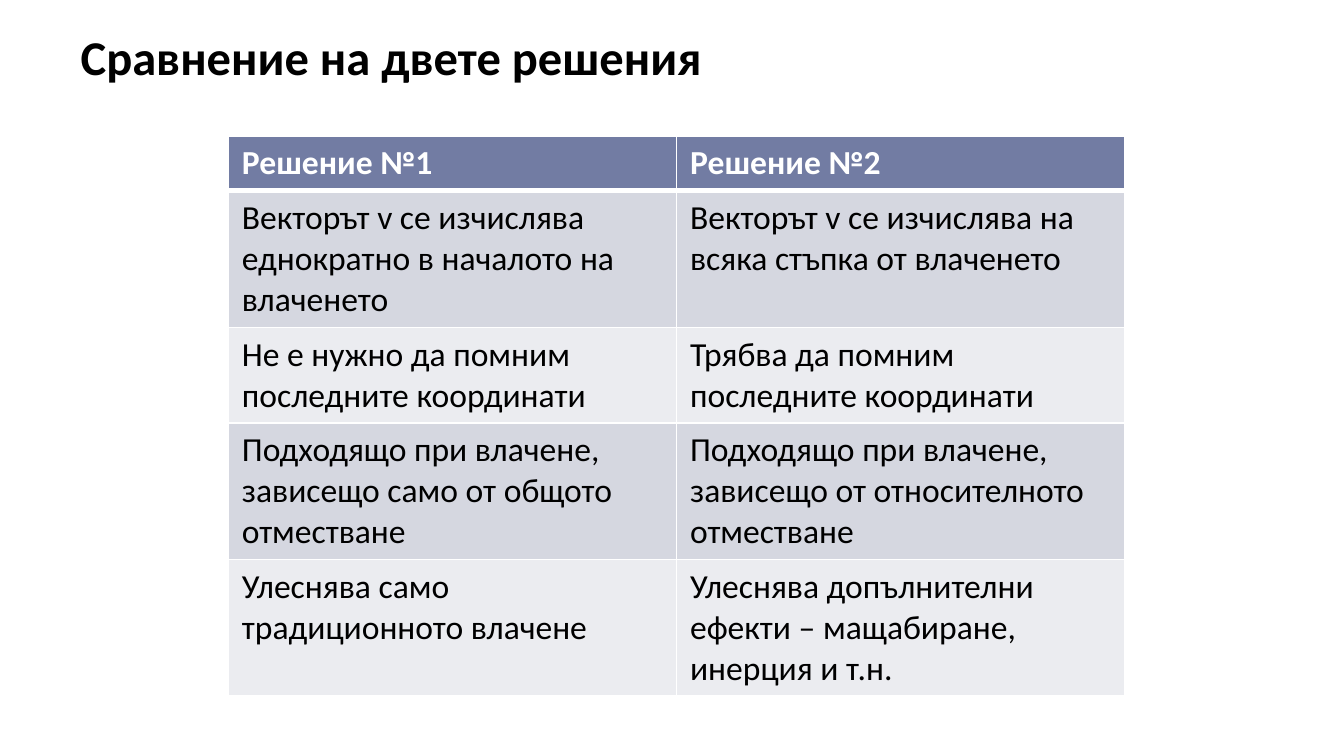
from lxml import etree
from pptx import Presentation
from pptx.dml.color import RGBColor
from pptx.enum.text import MSO_ANCHOR, MSO_AUTO_SIZE, PP_ALIGN
from pptx.oxml.ns import qn
from pptx.util import Inches, Pt

WHITE, BLACK = "FFFFFF", "000000"
HEADER_FILL, BAND_FILLS = "727CA3", ("D5D7E0", "EBECF0")


def add_text(paragraph, text, size, color, bold):
    run = paragraph.add_run()
    run.text = text
    run.font.name = "Calibri"
    run.font.size = Pt(size)
    run.font.bold = bold
    run.font.color.rgb = RGBColor.from_string(color)


def add_border(cell, side, width):
    line = etree.SubElement(cell._tc.get_or_add_tcPr(), qn(f"a:ln{side}"), w=str(Pt(width)))
    fill = etree.SubElement(line, qn("a:solidFill"))
    etree.SubElement(fill, qn("a:srgbClr"), val=WHITE)


# Widescreen slide, 16:9
prs = Presentation()
prs.slide_width = Inches(10)
prs.slide_height = prs.slide_width * 9 // 16
slide = prs.slides.add_slide(prs.slide_layouts[5])

# Heading
heading = slide.shapes.title
heading.left, heading.top = Inches(0.5), Inches(0.15)
heading.width, heading.height = Inches(9.33), Inches(5.42)
frame = heading.text_frame
frame.auto_size = MSO_AUTO_SIZE.NONE
frame.vertical_anchor = MSO_ANCHOR.TOP
paragraph = frame.paragraphs[0]
paragraph.alignment = PP_ALIGN.LEFT
paragraph.space_before = Pt(6)
add_text(paragraph, "Сравнение на двете решения", 26, BLACK, True)

# Comparison: row height in inches, then both solutions
comparison = [
    (0.41, "Решение №1", "Решение №2"),
    (1.0, "Векторът v се изчислява еднократно в началото на влаченето",
     "Векторът v се изчислява на всяка стъпка от влаченето"),
    (0.7, "Не е нужно да помним последните координати",
     "Трябва да помним последните координати"),
    (1.0, "Подходящо при влачене, зависещо само от общото отместване",
     "Подходящо при влачене, зависещо от относителното отместване"),
    (1.0, "Улеснява само традиционното влачене",
     "Улеснява допълнителни ефекти – мащабиране, инерция и т.н."),
]
total_height = sum(height for height, *_ in comparison)
table = slide.shapes.add_table(len(comparison), 2, Inches(1.7), Inches(1.01),
                               Inches(6.67), Inches(total_height)).table

for row, (height, *solutions) in enumerate(comparison):
    table.rows[row].height = Inches(height)
    is_header = row == 0
    for column, text in enumerate(solutions):
        cell = table.cell(row, column)
        # The rule under the header is thicker than the others
        for side, width in (("L", 1), ("R", 1), ("T", 3 if row == 1 else 1),
                            ("B", 3 if is_header else 1)):
            add_border(cell, side, width)
        cell.fill.solid()
        cell.fill.fore_color.rgb = RGBColor.from_string(
            HEADER_FILL if is_header else BAND_FILLS[(row - 1) % 2])
        add_text(cell.text_frame.paragraphs[0], text, 18,
                 WHITE if is_header else BLACK, is_header)

prs.save("out.pptx")
